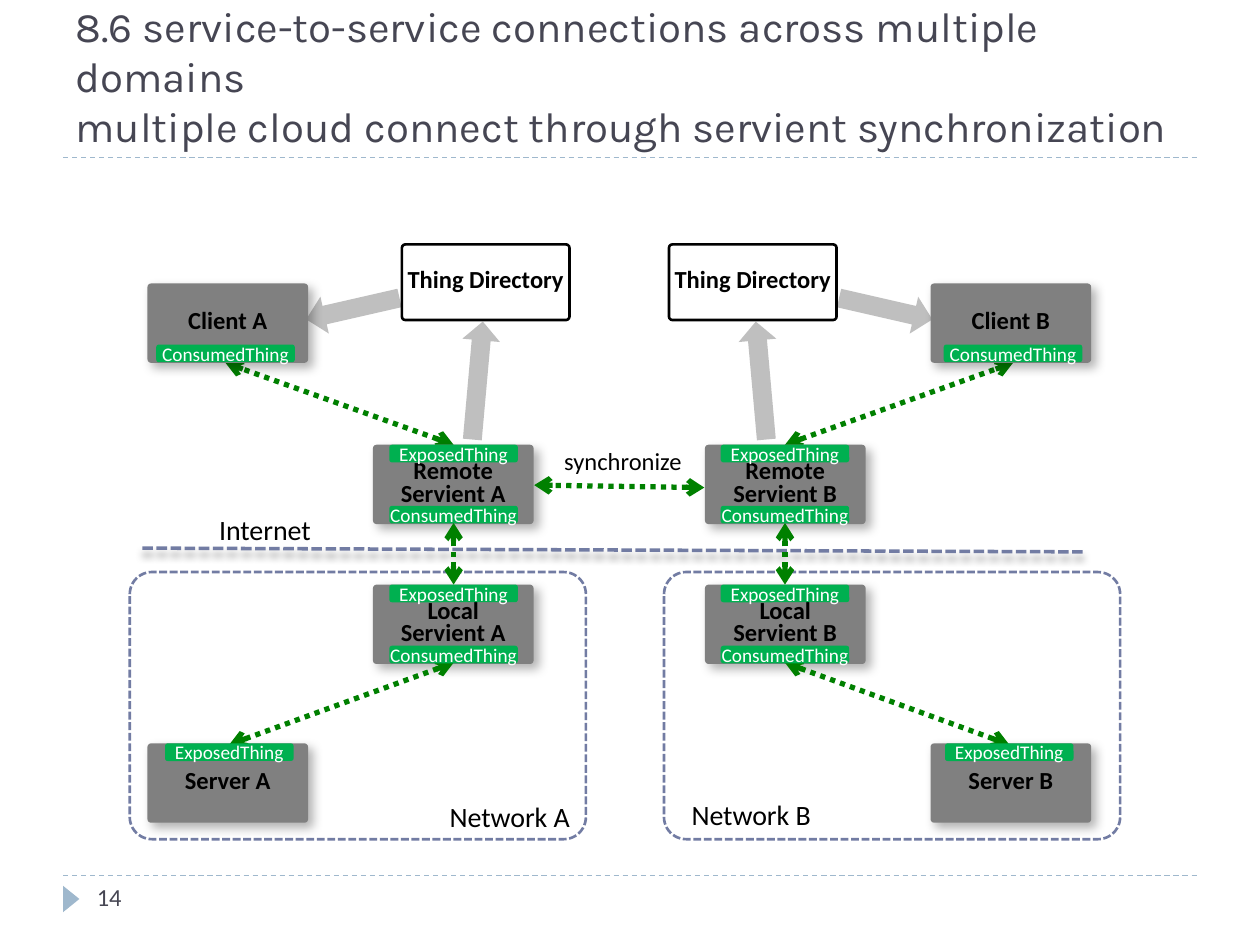
from lxml import etree
from pptx import Presentation
from pptx.dml.color import RGBColor
from pptx.enum import dml, shapes, text
from pptx.oxml.ns import qn
from pptx.util import Inches, Pt

KIND = shapes.MSO_SHAPE
DASH = dml.MSO_LINE
ALIGN = text.PP_ALIGN
ANCHOR = text.MSO_ANCHOR


def tint(code):
    return RGBColor.from_string(code)


class Board:
    """Draws styled elements on one slide, measured on a 100 by 75 grid."""

    FONT = "Calibri"
    INK, SLATE, WHITE = "000000", "464653", "FFFFFF"
    GREY, PALE, GREEN = "808080", "BFBFBF", "00B050"
    LINK, EDGE, RULE = "008000", "727CA3", "9FB8CD"
    SUM = 98.3

    def __init__(self, deck):
        self.slide = deck.slides.add_slide(deck.slide_layouts[6])
        self.cell = deck.slide_width / 100
        self.flip = False

    def size(self, *cells):
        return [round(n * self.cell) for n in cells]

    def spot(self, x, wide=0):
        return self.SUM - x - wide if self.flip else x

    def shade(self, item, glow=None):
        props = item._element.spPr
        effect = etree.SubElement(props, qn("a:effectLst"))
        if glow:
            alpha, blur, dist, turn = glow
            cast = etree.SubElement(
                effect, qn("a:outerShdw"), blurRad=str(Pt(blur)),
                dist=str(Pt(dist)), dir=str(turn * 60000), rotWithShape="0")
            hue = etree.SubElement(cast, qn("a:srgbClr"), val=self.INK)
            etree.SubElement(hue, qn("a:alpha"), val=str(alpha * 1000))

    def pen(self, line, hue, width, dash=None):
        line.color.rgb = tint(hue)
        line.width = Pt(width)
        if dash:
            line.dash_style = dash

    def words(self, item, copy, size, hue, bold=False, font=FONT,
              align=ALIGN.LEFT, space=None):
        frame = item.text_frame
        frame.text = copy
        for para in frame.paragraphs:
            para.alignment = align
            para.line_spacing = space
            for run in para.runs:
                run.font.size = Pt(size)
                run.font.name = font
                run.font.bold = bold
                run.font.color.rgb = tint(hue)

    def label(self, copy, x, y, wide, high, size, hue=INK, font=FONT,
              wrap=False, anchor=ANCHOR.TOP):
        item = self.slide.shapes.add_textbox(*self.size(x, y, wide, high))
        item.text_frame.word_wrap = wrap
        item.text_frame.vertical_anchor = anchor
        self.words(item, copy, size, hue, font=font)

    def shape(self, kind, x, y, wide, high, fill=None, edge=None, adj=None,
              turn=0, glow=None):
        item = self.slide.shapes.add_shape(
            kind, *self.size(self.spot(x, wide), y, wide, high))
        item.rotation = (360 - turn) % 360 if self.flip else turn
        if adj is not None:
            item.adjustments[0] = adj
        if fill:
            item.fill.solid()
            item.fill.fore_color.rgb = tint(fill)
        else:
            item.fill.background()
        if edge:
            self.pen(item.line, *edge)
        else:
            item.line.fill.background()
        self.shade(item, glow)
        return item

    def box(self, copy, x, y, wide=12.75, high=6.3, fill=GREY, edge=None,
            glow=(30, 6, 4, 45)):
        item = self.shape(KIND.ROUNDED_RECTANGLE, x, y, wide, high, fill,
                          edge, 0.045, glow=glow)
        frame = item.text_frame
        frame.margin_left = frame.margin_right = 0
        frame.margin_top = frame.margin_bottom = 0
        frame.word_wrap = False
        frame.vertical_anchor = ANCHOR.MIDDLE
        self.words(item, copy, 14, self.INK, True, align=ALIGN.CENTER,
                   space=0.75)

    def tag(self, copy, x, y, wide=10.2):
        item = self.shape(KIND.ROUNDED_RECTANGLE, x, y, wide, 1.4,
                          self.GREEN, adj=0.15)
        item.text_frame.word_wrap = False
        item.text_frame.vertical_anchor = ANCHOR.MIDDLE
        self.words(item, copy, 11, self.WHITE, align=ALIGN.CENTER)

    def arrow(self, x, y, high, turn):
        self.shape(KIND.DOWN_ARROW, x, y, 3, high, self.PALE, turn=turn)

    def rule(self, x, y, end, low, hue, width, dash, glow=None, heads=False):
        item = self.slide.shapes.add_connector(
            shapes.MSO_CONNECTOR.STRAIGHT,
            *self.size(self.spot(x), y, self.spot(end), low))
        self.pen(item.line, hue, width, dash)
        if heads:
            stroke = item._element.spPr.find(qn("a:ln"))
            for head in ("a:headEnd", "a:tailEnd"):
                etree.SubElement(stroke, qn(head), type="arrow")
        self.shade(item, glow)

    def link(self, x, y, end, low):
        self.rule(x, y, end, low, self.LINK, 3, DASH.ROUND_DOT, heads=True)

    def side(self, name, flip):
        self.flip = flip
        near, far, mid = 29.6, 11.7, 36
        client, remote, local, server = 22.5, 35.3, 46.4, 59
        self.arrow(26.5, 20.7, 7.6, 77.1)
        self.arrow(36.4, 25.5, 9.4, 185.1)
        self.box("Thing Directory", 31.9, 19.4, 13.3, 6, self.WHITE,
                 (self.INK, 1.5), None)
        self.link(mid, remote, 17.9, 28.8)
        for copy, x, y in (("Remote\nServient", near, remote),
                           ("Local\nServient", near, local),
                           ("Server", far, server),
                           ("Client", far, client)):
            self.box(f"{copy} {name}", x, y)
        self.link(18.2, 59.1, mid, 52.6)
        self.link(mid, local, mid, 41.5)
        for y in (remote, local):
            self.tag("ExposedThing", near + 1.3, y)
            self.tag("ConsumedThing", near + 1.3, y + 4.85)
        self.tag("ExposedThing", far + 1.4, server)
        self.tag("ConsumedThing", far + 0.7, client + 4.85, 11)
        self.flip = False


def main():
    deck = Presentation()
    deck.slide_width, deck.slide_height = Inches(10), Inches(7.5)
    board = Board(deck)
    for y in (69.5, 12.5):
        board.rule(5, y, 95, y, board.RULE, 0.75, DASH.DASH)
    board.shape(KIND.ISOSCELES_TRIANGLE, 4.6, 70.7, 2.1, 1.3, board.RULE,
                turn=90)
    board.rule(11.3, 43.5, 86, 43.8, board.EDGE, 2, DASH.SQUARE_DOT,
               (40, 4, 3.4, 90))
    for x in (10.3, 52.7):
        board.shape(KIND.ROUNDED_RECTANGLE, x, 45.4, 36.2, 21.2,
                    edge=(board.EDGE, 1.5, DASH.SQUARE_DOT), adj=0.083)
    board.label("8.6 service-to-service connections across multiple domains\v"
                "multiple cloud connect through servient synchronization",
                5, 2.5, 90, 10, 24, board.SLATE, "Karla", True, ANCHOR.BOTTOM)
    board.label("14", 6.7, 69.5, 21.7, 4, 14, board.SLATE, wrap=True)
    board.side("A", False)
    board.side("B", True)
    board.label("Internet", 16.4, 40.2, 9.4, 3.7, 16)
    board.label("Network A", 34.7, 63, 11.7, 3.7, 16)
    board.label("Network B", 53.9, 62.8, 11.7, 3.7, 16)
    board.label("synchronize", 43.8, 34.9, 11.4, 3.4, 14)
    board.link(55.9, 38.7, 42.4, 38.5)
    deck.save("out.pptx")


if __name__ == "__main__":
    main()
